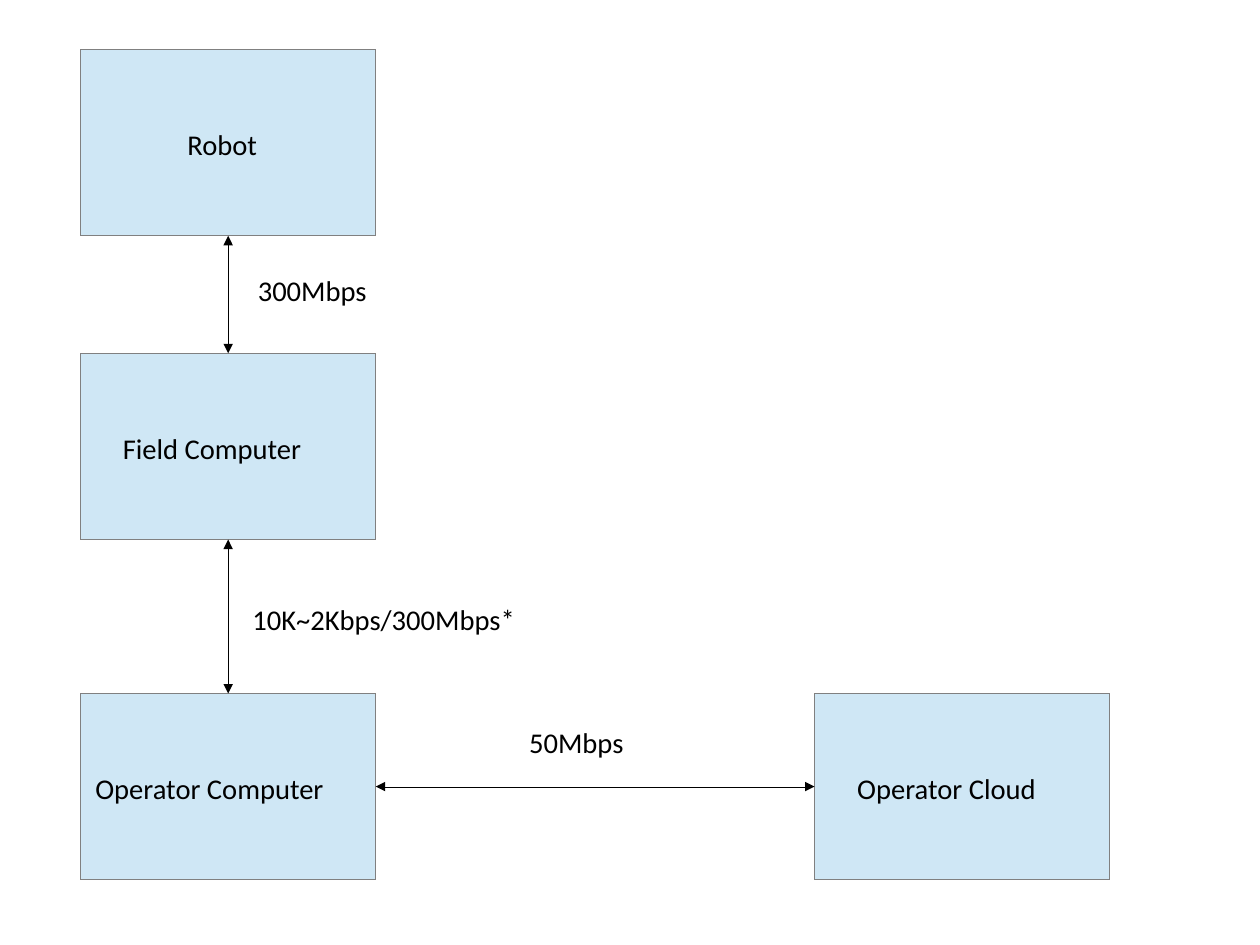
from dataclasses import dataclass

from lxml.etree import SubElement
from pptx import Presentation
from pptx.dml.color import RGBColor
from pptx.enum.shapes import MSO_CONNECTOR, MSO_SHAPE
from pptx.enum.text import MSO_AUTO_SIZE, MSO_ANCHOR, PP_ALIGN
from pptx.oxml.ns import qn
from pptx.util import Cm, Pt


@dataclass(frozen=True)
class Theme:
    node_fill: RGBColor = RGBColor(0xCF, 0xE7, 0xF5)
    node_line: RGBColor = RGBColor(0x80, 0x80, 0x80)
    ink: RGBColor = RGBColor(0, 0, 0)
    font: str = "Calibri"
    label_size: Pt = Pt(18)


THEME = Theme()

# Grid, in centimetres
SLIDE_WIDTH, SLIDE_HEIGHT = 28, 21
COLUMNS = (1.79, 18.1)
ROWS = (1.1, 7.85, 15.41)
NODE_WIDTH, NODE_HEIGHT = 6.56, 4.14
LABEL_HEIGHT, LABEL_DROP = 1.11, 1.6

# Connection sites of a rectangle
TOP, LEFT, BOTTOM, RIGHT = range(4)

# Name: column, row, label width
NODES = {
    "Robot": (0, 0, 2.31),
    "Field Computer": (0, 1, 5.18),
    "Operator Computer": (0, 2, 6.4),
    "Operator Cloud": (1, 2, 5.16),
}

# Start, its site, end, its site
LINKS = (
    ("Robot", BOTTOM, "Field Computer", TOP),
    ("Field Computer", BOTTOM, "Operator Computer", TOP),
    ("Operator Computer", RIGHT, "Operator Cloud", LEFT),
)

# Bandwidth: left, top, width
BANDWIDTHS = {
    "50Mbps": (11.51, 15.98, 2.95),
    "300Mbps": (5.48, 5.95, 3.35),
    "10K~2Kbps/300Mbps*": (5.36, 13.26, 7.32),
}


def set_hairline(line, color):
    line.color.rgb = color
    # The width setter drops a zero, so it is written directly
    outline = line._get_or_add_ln()
    outline.set("w", "0")
    return outline


def add_node(slide, column, row):
    node = slide.shapes.add_shape(
        MSO_SHAPE.RECTANGLE, Cm(COLUMNS[column]), Cm(ROWS[row]),
        Cm(NODE_WIDTH), Cm(NODE_HEIGHT))
    node.shadow.inherit = False
    node.fill.solid()
    node.fill.fore_color.rgb = THEME.node_fill
    set_hairline(node.line, THEME.node_line)
    return node


def add_link(slide, start, start_site, end, end_site):
    link = slide.shapes.add_connector(MSO_CONNECTOR.STRAIGHT, 0, 0, 0, 0)
    link.begin_connect(start, start_site)
    link.end_connect(end, end_site)
    # Arrowheads at both ends, no shadow
    outline = set_hairline(link.line, THEME.ink)
    for tag in ("a:headEnd", "a:tailEnd"):
        SubElement(outline, qn(tag), type="triangle")
    SubElement(link._element.spPr, qn("a:effectLst"))


def add_label(slide, text, left, top, width):
    label = slide.shapes.add_textbox(
        Cm(left), Cm(top), Cm(width), Cm(LABEL_HEIGHT))
    frame = label.text_frame
    frame.word_wrap = False
    frame.auto_size = MSO_AUTO_SIZE.SHAPE_TO_FIT_TEXT
    frame.vertical_anchor = MSO_ANCHOR.TOP
    paragraph = frame.paragraphs[0]
    paragraph.alignment = PP_ALIGN.LEFT
    run = paragraph.add_run()
    run.text = text
    run.font.name = THEME.font
    run.font.size = THEME.label_size
    run.font.color.rgb = THEME.ink


def main():
    deck = Presentation()
    deck.slide_width, deck.slide_height = Cm(SLIDE_WIDTH), Cm(SLIDE_HEIGHT)
    slide = deck.slides.add_slide(deck.slide_layouts[6])

    # Machines
    machines = {name: add_node(slide, column, row)
                for name, (column, row, _) in NODES.items()}

    # Links between them
    for start, start_site, end, end_site in LINKS:
        add_link(slide, machines[start], start_site, machines[end], end_site)

    # Machine names, centred across their boxes
    for name, (column, row, width) in NODES.items():
        left = COLUMNS[column] + (NODE_WIDTH - width) / 2
        add_label(slide, name, left, ROWS[row] + LABEL_DROP, width)

    # Bandwidths beside the links
    for bandwidth, place in BANDWIDTHS.items():
        add_label(slide, bandwidth, *place)

    deck.save("out.pptx")


if __name__ == "__main__":
    main()
